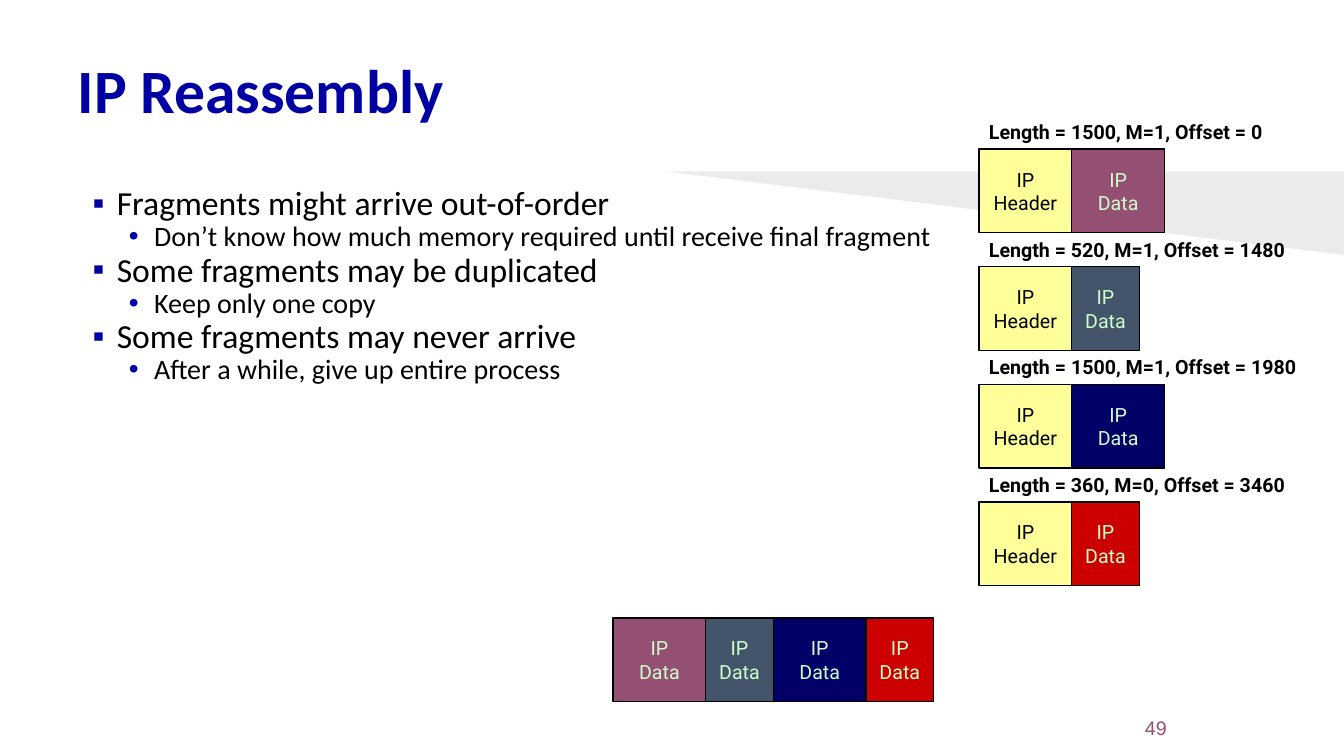
"""Build the IP Reassembly slide."""
from dataclasses import dataclass
from typing import Any

from lxml import etree
from pptx import Presentation, util as u
from pptx.dml import color
from pptx.enum import shapes, text
from pptx.oxml import ns


@dataclass(frozen=True)
class Theme:
    """Hold colours, fonts and type sizes."""
    navy: str = "0000A3"
    dot: str = "0000A8"
    black: str = "000000"
    mint: str = "CCFFCC"
    cream: str = "FFFF99"
    plum: str = "954F72"
    slate: str = "44546A"
    deep: str = "000066"
    red: str = "CC0000"
    body: str = "Calibri"
    label: str = "Roboto"
    plain: str = "Arial"
    title: int = 44
    point: int = 24
    sub: int = 20
    small: int = 14


@dataclass(frozen=True)
class Part:
    """Describe one fragment of the packet."""
    note: str
    span: float
    wide: float
    fill: str


@dataclass(frozen=True)
class Level:
    """Describe one bullet level."""
    mark: str
    tint: str
    size: int
    left: float
    hang: float


T = Theme()
LONG, SHORT, HIGH = 0.92, 0.67, 0.83
PARTS = (
    Part("Length = 1500, M=1, Offset = 0", 2.98, LONG, T.plum),
    Part("Length = 520, M=1, Offset = 1480", 3.2, SHORT, T.slate),
    Part("Length = 1500, M=1, Offset = 1980", 3.32, LONG, T.deep),
    Part("Length = 360, M=0, Offset = 3460", 3.2, SHORT, T.red),
)
LEVELS = (
    Level("▪", T.navy, T.point, 0.39, -0.24),
    Level("•", T.dot, T.sub, 0.76, -0.25),
)
POINTS = (
    (0, "Fragments might arrive out-of-order"),
    (1, "Don’t know how much memory required until receive final fragment"),
    (0, "Some fragments may be duplicated"),
    (1, "Keep only one copy"),
    (0, "Some fragments may never arrive"),
    (1, "After a while, give up entire process"),
)
MIDDLE = text.MSO_ANCHOR.MIDDLE
PAD = {"margin_" + side: u.Inches(0.1) for side in ("left", "right", "top", "bottom")}


def rgb(code: str) -> color.RGBColor:
    """Turn a hex code into a colour."""
    return color.RGBColor.from_string(code)


def put(item: Any, form: dict[str, Any]) -> None:
    """Set every attribute in the form."""
    for name, value in form.items():
        setattr(item, name, value)


def place(item: Any, *box: float) -> None:
    """Move and size a shape."""
    put(item, dict(zip(("left", "top", "width", "height"), map(u.Inches, box))))


def write(para: Any, words: str, face: str, size: int, tint: str, bold: bool = False) -> None:
    """Add a formatted run to a paragraph."""
    run = para.add_run()
    run.text = words
    put(run.font, {"name": face, "size": u.Pt(size), "bold": bold})
    run.font.color.rgb = rgb(tint)


def frame(art: Any, box: tuple[float, ...], form: dict[str, Any]) -> Any:
    """Add a text box and return its frame."""
    made = art.add_textbox(*map(u.Inches, box)).text_frame
    put(made, form)
    return made


def block(art: Any, left: float, top: float, wide: float, fill: str, word: str, tint: str) -> None:
    """Draw one packet cell."""
    cell = art.add_shape(shapes.MSO_SHAPE.RECTANGLE, *map(u.Inches, (left, top, wide, HIGH)))
    cell.shadow.inherit = False
    cell.fill.solid()
    cell.fill.fore_color.rgb = rgb(fill)
    cell.line.color.rgb = rgb(T.black)
    cell.line.width = u.Pt(1)
    put(cell.text_frame, {"vertical_anchor": MIDDLE, "word_wrap": True})
    for row, line in enumerate(("IP", word)):
        para = cell.text_frame.paragraphs[0] if row == 0 else cell.text_frame.add_paragraph()
        para.alignment = text.PP_ALIGN.CENTER
        write(para, line, T.label, T.small, tint)


def wedge(art: Any) -> None:
    """Draw the pale wedge behind the content."""
    path = art.build_freeform(u.Inches(6.6), u.Inches(1.7))
    path.add_line_segments([(u.Inches(13.33), u.Inches(y)) for y in (1.7, 2.53)])
    form = path.convert_to_shape()
    form.shadow.inherit = False
    form.fill.solid()
    form.fill.fore_color.rgb = rgb(T.black)
    form.line.fill.background()
    tone = form.fill._xPr.find(".//" + ns.qn("a:srgbClr"))
    etree.SubElement(tone, ns.qn("a:alpha"), val="8000")


def head(title: Any) -> None:
    """Place and fill the title."""
    place(title, 0.67, 0.3, 12, 1.25)
    put(title.text_frame, PAD | {"vertical_anchor": MIDDLE, "word_wrap": True,
                                 "auto_size": text.MSO_AUTO_SIZE.NONE})
    para = title.text_frame.paragraphs[0]
    put(para, {"alignment": text.PP_ALIGN.LEFT, "line_spacing": 0.9})
    write(para, "IP Reassembly", T.body, T.title, T.navy, True)


def points(art: Any) -> None:
    """Write the bullet list."""
    body = frame(art, (0.67, 1.75, 12, 5.43), PAD | {"word_wrap": True})
    for row, (depth, words) in enumerate(POINTS):
        para = body.paragraphs[0] if row == 0 else body.add_paragraph()
        kind = LEVELS[depth]
        put(para, {"level": depth, "line_spacing": 0.9})
        props = para._p.get_or_add_pPr()
        props.set("marL", str(u.Inches(kind.left)))
        props.set("indent", str(u.Inches(kind.hang)))
        tone = etree.SubElement(props, ns.qn("a:buClr"))
        etree.SubElement(tone, ns.qn("a:srgbClr"), val=kind.tint)
        etree.SubElement(props, ns.qn("a:buFont"), typeface=T.plain)
        etree.SubElement(props, ns.qn("a:buChar"), char=kind.mark)
        write(para, words, T.body, kind.size, T.black)


def packets(art: Any) -> None:
    """Draw the fragments and the joined data."""
    form = {"word_wrap": False, "auto_size": text.MSO_AUTO_SIZE.SHAPE_TO_FIT_TEXT}
    left, whole = 6.08, art.add_group_shape().shapes
    for row, part in enumerate(PARTS):
        top, group = 1.48 + row * 3.5 / 3, art.add_group_shape().shapes
        block(group, 9.71, top, LONG, T.cream, "Header", T.black)
        block(group, 9.71 + LONG, top, part.wide, part.fill, "Data", T.mint)
        note = frame(group, (9.71, top - 0.34, part.span, 0.33), form)
        write(note.paragraphs[0], part.note, T.label, T.small, T.black, True)
        block(whole, left, 6.13, part.wide, part.fill, "Data", T.mint)
        left += part.wide


def main() -> None:
    """Build and save the slide."""
    deck = Presentation()
    put(deck, {"slide_width": u.Inches(13.33), "slide_height": u.Inches(7.5)})
    art = deck.slides.add_slide(deck.slide_layouts[5]).shapes
    wedge(art)
    head(art.title)
    points(art)
    page = frame(art, (10.93, 7.07, 0.74, 0.3), {"vertical_anchor": MIDDLE, "word_wrap": True})
    page.paragraphs[0].alignment = text.PP_ALIGN.RIGHT
    write(page.paragraphs[0], "49", T.plain, T.small, T.plum)
    packets(art)
    deck.save("out.pptx")


if __name__ == "__main__":
    main()
